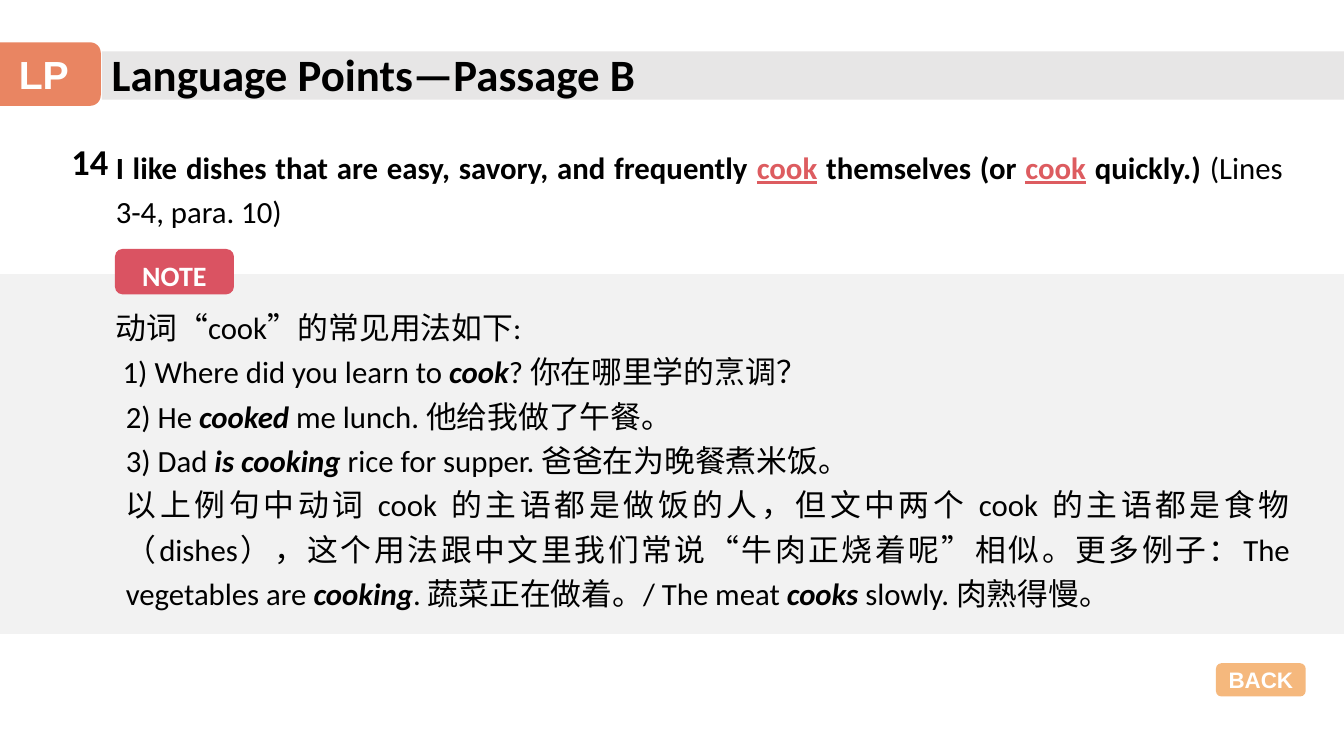
from pptx import Presentation
from pptx.dml.color import RGBColor
from pptx.enum.shapes import MSO_SHAPE
from pptx.enum.text import MSO_ANCHOR, PP_ALIGN
from pptx.util import Pt

PX = 9144
BLACK = RGBColor(0x00, 0x00, 0x00)
WHITE = RGBColor(0xFF, 0xFF, 0xFF)
BAR_GREY = RGBColor(0xE7, 0xE6, 0xE6)
PANEL_GREY = RGBColor(0xF2, 0xF2, 0xF2)
TAB_ORANGE = RGBColor(0xE9, 0x85, 0x62)
BUTTON_ORANGE = RGBColor(0xF5, 0xB8, 0x7D)
NOTE_RED = RGBColor(0xDA, 0x53, 0x62)
KEYWORD_RED = RGBColor(0xDD, 0x5C, 0x60)

BOLD = {"bold": True}
PLAIN = {}
TERM = {"bold": True, "italic": True}
KEYWORD = {"bold": True, "underline": True, "color": KEYWORD_RED}

SENTENCE = [
    ("I like dishes that are easy, savory, and frequently ", BOLD),
    ("cook", KEYWORD),
    (" themselves (or ", BOLD),
    ("cook", KEYWORD),
    (" quickly.) ", BOLD),
    ("(Lines 3-4, para. 10)", PLAIN),
]
NOTES = [
    (0, 0, [("动词“cook”的常见用法如下:", PLAIN)]),
    (0, 0, [(" 1) Where did you learn to ", PLAIN), ("cook", TERM),
            ("? 你在哪里学的烹调？", PLAIN)]),
    (0, 10, [("2) He", PLAIN), (" cooked ", TERM),
             ("me lunch. 他给我做了午餐。", PLAIN)]),
    (0, 10, [("3) Dad ", PLAIN), ("is cooking ", TERM),
             ("rice for supper. 爸爸在为晚餐煮米饭。", PLAIN)]),
    (10, 0, [("以上例句中动词 cook 的主语都是做饭的人，但文中两个 cook 的主语都是食物"
              "（dishes），这个用法跟中文里我们常说“牛肉正烧着呢”相似。更多例子："
              "The vegetables are ", PLAIN),
             ("cooking", TERM), (". 蔬菜正在做着。/ The meat ", PLAIN),
             ("cooks", TERM), (" slowly. 肉熟得慢。", PLAIN)]),
]


def add_run(paragraph, text, size=22, font="Calibri", color=BLACK,
            bold=False, italic=False, underline=False):
    run = paragraph.add_run()
    run.text = text
    run.font.size = Pt(size)
    run.font.name = font
    run.font.color.rgb = color
    run.font.bold = bold
    run.font.italic = italic
    run.font.underline = underline


def add_block(slide, left, top, width, height, kind, fill):
    shape = slide.shapes.add_shape(kind, left * PX, top * PX, width * PX, height * PX)
    shape.shadow.inherit = False
    shape.fill.solid()
    shape.fill.fore_color.rgb = fill
    shape.line.fill.background()
    return shape


def add_label(slide, left, top, width, height, text, fill, line_spacing=1.0, **text_format):
    shape = add_block(slide, left, top, width, height, MSO_SHAPE.ROUNDED_RECTANGLE, fill)
    frame = shape.text_frame
    frame.vertical_anchor = MSO_ANCHOR.MIDDLE
    paragraph = frame.paragraphs[0]
    paragraph.alignment = PP_ALIGN.CENTER
    paragraph.line_spacing = line_spacing
    add_run(paragraph, text, color=WHITE, bold=True, **text_format)


def add_text(slide, left, top, width, height, text, **text_format):
    box = slide.shapes.add_textbox(left * PX, top * PX, width * PX, height * PX)
    box.text_frame.word_wrap = True
    add_run(box.text_frame.paragraphs[0], text, **text_format)


def add_passage(slide, left, top, width, height, entries):
    box = slide.shapes.add_textbox(left * PX, top * PX, width * PX, height * PX)
    frame = box.text_frame
    frame.word_wrap = True
    for index, (margin, indent, runs) in enumerate(entries):
        paragraph = frame.add_paragraph() if index else frame.paragraphs[0]
        paragraph.alignment = PP_ALIGN.JUSTIFY
        paragraph.line_spacing = 1.2
        properties = paragraph._p.get_or_add_pPr()
        properties.set("marL", str(margin * PX))
        properties.set("indent", str(indent * PX))
        for text, text_format in runs:
            add_run(paragraph, text, **text_format)


def add_header(slide, left, top, width, height):
    add_block(slide, left + 101, top + 10, width - 101, 48, MSO_SHAPE.RECTANGLE, BAR_GREY)
    add_label(slide, left - 13, top + 1, 113, height - 1, "LP", TAB_ORANGE,
              size=28, font="Arial")
    add_text(slide, left + 101, top, 578, height, "Language Points—Passage B",
             size=32, bold=True)


def add_sentence(slide, left, top, width, height):
    add_text(slide, left, top, 63, 54, "14", size=26, bold=True)
    add_passage(slide, left + 44, top + 2, width - 44, height - 2, [(0, 0, SENTENCE)])


def add_note_panel(slide, left, top, width, height):
    add_block(slide, left, top, width, height, MSO_SHAPE.RECTANGLE, PANEL_GREY)
    add_passage(slide, left + 105, top + 22, width - 149, height - 36, NOTES)
    add_label(slide, left + 114, top - 25, 118, 45, "NOTE", NOTE_RED,
              line_spacing=1.2, size=20)


def main():
    presentation = Presentation()
    presentation.slide_width = 1333 * PX
    presentation.slide_height = 750 * PX
    slide = presentation.slides.add_slide(presentation.slide_layouts[6])
    add_header(slide, 0, 41, 1333, 64)
    add_sentence(slide, 61, 133, 1221, 98)
    add_note_panel(slide, 0, 272, 1333, 357)
    add_label(slide, 1206, 658, 89, 33, "BACK", BUTTON_ORANGE, size=16, font="Arial")
    presentation.save("out.pptx")


if __name__ == "__main__":
    main()
